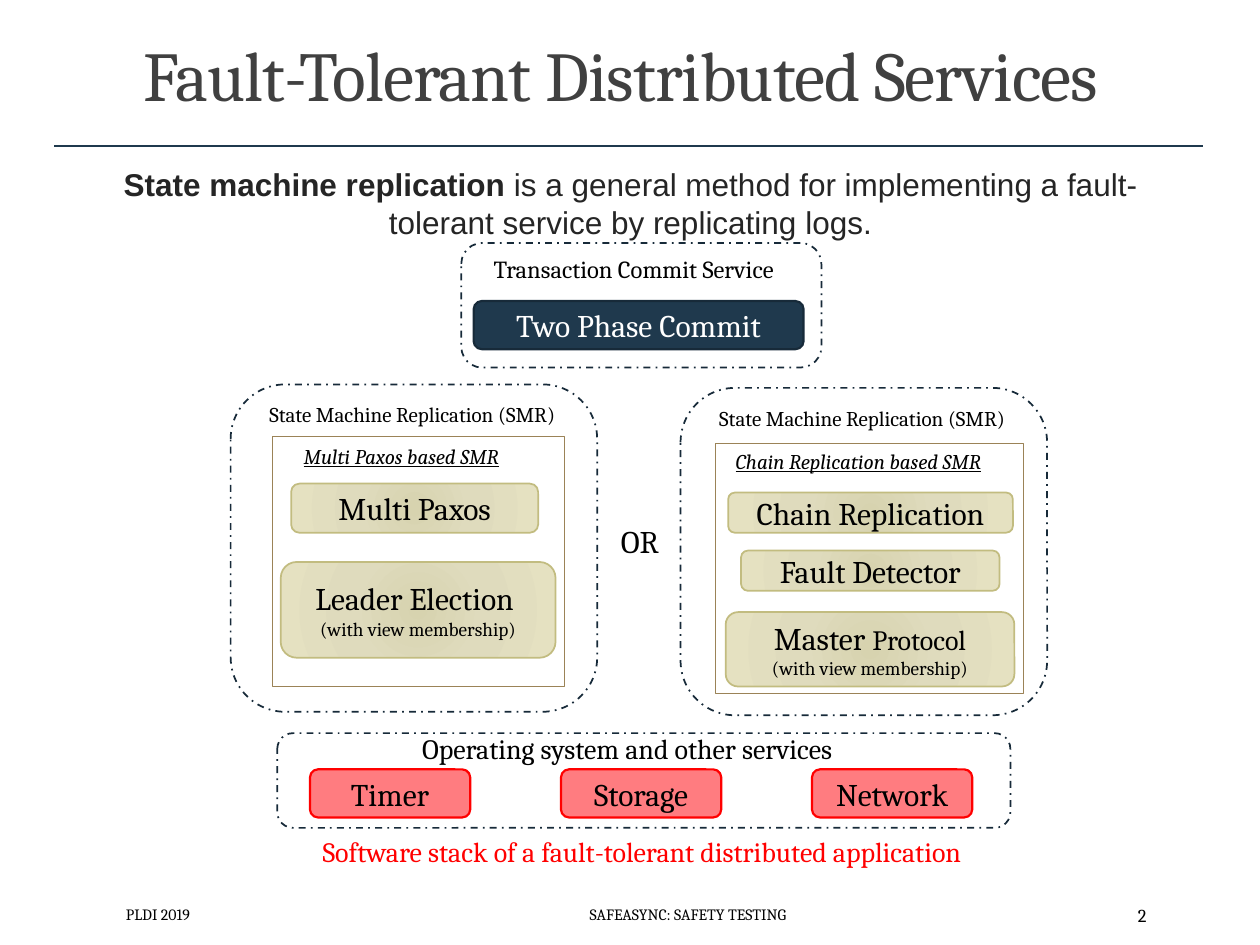
from pptx import Presentation
from pptx.dml.color import RGBColor
from pptx.enum.dml import MSO_LINE
from pptx.enum.shapes import MSO_CONNECTOR, MSO_SHAPE
from pptx.enum.text import MSO_ANCHOR, MSO_AUTO_SIZE, PP_ALIGN
from pptx.oxml import parse_xml
from pptx.oxml.ns import nsdecls
from pptx.util import Cm, Pt


class Theme:
    font, sans = "Cambria", "Arial"
    black, red, navy, grey, ink = "000000", "FF0000", "1F394D", "404040", "252525"
    glow = ((0, "D7D3AF"), (45, "DFDBBD"), (100, "E5E1C1"))
    title, big, mid, label, small, note, page, foot = 40, 18, 16, 14, 12, 11, 10.5, 9
    # style: outline, fill, line colour, line width, text colour
    box = {
        "frame": (MSO_SHAPE.ROUNDED_RECTANGLE, "FFFFFF", "172A39", 1, black),
        "inner": (MSO_SHAPE.RECTANGLE, "FFFFFF", "9B8357", 0.5, black),
        "commit": (MSO_SHAPE.ROUNDED_RECTANGLE, navy, "172A39", 1.25, "FFFFFF"),
        "part": (MSO_SHAPE.ROUNDED_RECTANGLE, glow, "C2BC80", 1, black),
        "system": (MSO_SHAPE.ROUNDED_RECTANGLE, "FF7C80", red, 1.25, black),
    }


# Content: places are left, top, width, height in cm
TITLE = "Fault-Tolerant Distributed Services"
INTRO = ("State machine replication",
         " is a general method for implementing a fault-tolerant service by replicating logs.")
CAPTION = "Software stack of a fault-tolerant distributed application"
VIEW = "(with view membership)"
PANELS = [
    {"at": (4.65, 7.75), "inner": (5.49, 8.79, 5.89, 5.05),
     "name": ("Multi Paxos based SMR", (5.87, 8.81, 5.21, 0.79)),
     "parts": [([("Multi Paxos", 18)], None, (5.87, 9.75, 4.98, 0.99)),
               ([("Leader Election ", 18)], VIEW, (5.66, 11.33, 5.54, 1.93))]},
    {"at": (13.72, 7.82), "inner": (14.43, 8.94, 6.2, 5.05),
     "name": ("Chain Replication based SMR", (14.58, 8.92, 6.1, 0.79)),
     "parts": [([("Chain Replication", 18)], None, (14.68, 9.93, 5.74, 0.81)),
               ([("Fault Detector", 18)], None, (14.94, 11.1, 5.21, 0.81)),
               ([("Master ", 18), ("Protocol", 16)], VIEW, (14.63, 12.34, 5.82, 1.5))]},
]
SYSTEM = ["Timer", "Storage", "Network"]
FOOT = [
    ("PLDI 2019", Theme.foot, PP_ALIGN.LEFT, (2.29, 17.93, 5.16, 1.02)),
    ("SAFEASYNC: SAFETY TESTING", Theme.foot, PP_ALIGN.CENTER, (7.59, 17.93, 12.55, 1.02)),
    ("2", Theme.page, PP_ALIGN.RIGHT, (20.62, 17.93, 2.74, 1.02)),
]


def rgb(code):
    return RGBColor.from_string(code)


def style(font, size, color=Theme.black, name=Theme.font):
    font.size, font.name = Pt(size), name
    font.color.rgb = rgb(color)


def place(at):
    return [Cm(v) for v in at]


def text(home, words, at, size, color=Theme.black, align=PP_ALIGN.LEFT, wrap=True):
    frame = home.add_textbox(*place(at)).text_frame
    frame.word_wrap = wrap
    para = frame.paragraphs[0]
    para.text, para.alignment = words, align
    style(para.font, size, color)
    return frame


def radiate(shape, stops):
    """Fill a shape with a gradient that spreads in circles."""
    marks = "".join(f'<a:gs pos="{pos * 1000}"><a:srgbClr val="{code}"/></a:gs>'
                    for pos, code in stops)
    shape.fill.background()
    old = shape._element.spPr.find("{*}noFill")
    old.getparent().replace(old, parse_xml(
        f'<a:gradFill {nsdecls("a")} rotWithShape="1"><a:gsLst>{marks}</a:gsLst>'
        '<a:path path="circle"><a:fillToRect l="100000" t="100000" r="100000" b="100000"/>'
        '</a:path></a:gradFill>'))


def box(home, kind, at, runs=(), note=None):
    form, fill, edge, width, color = Theme.box[kind]
    shape = home.add_shape(form, *place(at))
    shape.shadow.inherit = False
    if isinstance(fill, str):
        shape.fill.solid()
        shape.fill.fore_color.rgb = rgb(fill)
    else:
        radiate(shape, fill)
    shape.line.color.rgb = rgb(edge)
    shape.line.width = Pt(width)
    if kind == "frame":
        shape.line.dash_style = MSO_LINE.DASH_DOT
    frame = shape.text_frame
    frame.vertical_anchor = MSO_ANCHOR.MIDDLE
    para = frame.paragraphs[0]
    para.alignment = PP_ALIGN.CENTER
    for words, size in runs:
        run = para.add_run()
        run.text = words
        style(run.font, size, color)
    if note:
        para = frame.add_paragraph()
        para.text, para.alignment = note, PP_ALIGN.CENTER
        style(para.font, Theme.note, color)


def panel(home, data):
    left, top = data["at"]
    box(home, "frame", (left, top, 7.39, 6.6))
    text(home, "State Machine Replication (SMR)",
         (left + 0.53, top + 0.23, 6.63, 0.76), Theme.small)
    box(home, "inner", data["inner"])
    name, at = data["name"]
    font = text(home, name, at, Theme.small).paragraphs[0].font
    font.italic = font.underline = True
    for runs, note, at in data["parts"]:
        box(home, "part", at, runs, note)


def main():
    deck = Presentation()
    deck.slide_width, deck.slide_height = Cm(25.4), Cm(19.05)
    slide = deck.slides.add_slide(deck.slide_layouts[5])
    shapes = slide.shapes

    # Title and rule
    head = shapes.title
    head.left, head.top, head.width, head.height = place((2.03, 0.94, 20.96, 1.52))
    frame = head.text_frame
    frame.text = TITLE
    frame.auto_size, frame.vertical_anchor = MSO_AUTO_SIZE.NONE, MSO_ANCHOR.BOTTOM
    para = frame.paragraphs[0]
    para.alignment, para.line_spacing = PP_ALIGN.CENTER, 0.85
    style(para.font, Theme.title, Theme.grey)
    para.runs[0].font._element.set("spc", "-50")
    rule = shapes.add_connector(MSO_CONNECTOR.STRAIGHT, *place((1.09, 2.95, 24.26, 2.95)))
    rule.line.color.rgb, rule.line.width = rgb(Theme.navy), Pt(1)
    rule._element.spPr.append(parse_xml(f'<a:effectLst {nsdecls("a")}/>'))

    # Commit service
    group = shapes.add_group_shape().shapes
    box(group, "frame", (9.3, 4.9, 7.26, 2.51))
    box(group, "commit", (9.55, 6.07, 6.65, 0.97), [("Two Phase Commit", Theme.big)])
    text(group, "Transaction Commit Service", (9.7, 5, 6.48, 0.86), Theme.label)

    # Replication panels
    for data in PANELS:
        panel(shapes.add_group_shape().shapes, data)
    text(shapes, "OR", (12.24, 10.39, 1.32, 1.02), Theme.big,
         align=PP_ALIGN.CENTER, wrap=False)

    # System services
    group = shapes.add_group_shape().shapes
    box(group, "frame", (5.59, 14.78, 14.78, 1.91))
    text(group, "Operating system and other services", (8.26, 14.63, 10.11, 0.94), Theme.mid)
    for i, name in enumerate(SYSTEM):
        box(group, "system", (6.25 + 5.06 * i, 15.51, 3.23, 0.97), [(name, Theme.big)])
    text(group, CAPTION, (5.21, 16.69, 15.47, 0.94), Theme.mid, Theme.red, PP_ALIGN.CENTER)

    # Introduction
    para = text(shapes, "", (1.32, 3.2, 22.78, 1.8), Theme.big,
                align=PP_ALIGN.CENTER).paragraphs[0]
    style(para.font, Theme.big, Theme.ink, Theme.sans)
    for words, bold in zip(INTRO, (True, False)):
        run = para.add_run()
        run.text, run.font.bold = words, bold

    # Footer
    for words, size, align, at in FOOT:
        text(shapes, words, at, size, align=align).vertical_anchor = MSO_ANCHOR.MIDDLE

    deck.save("out.pptx")


if __name__ == "__main__":
    main()
